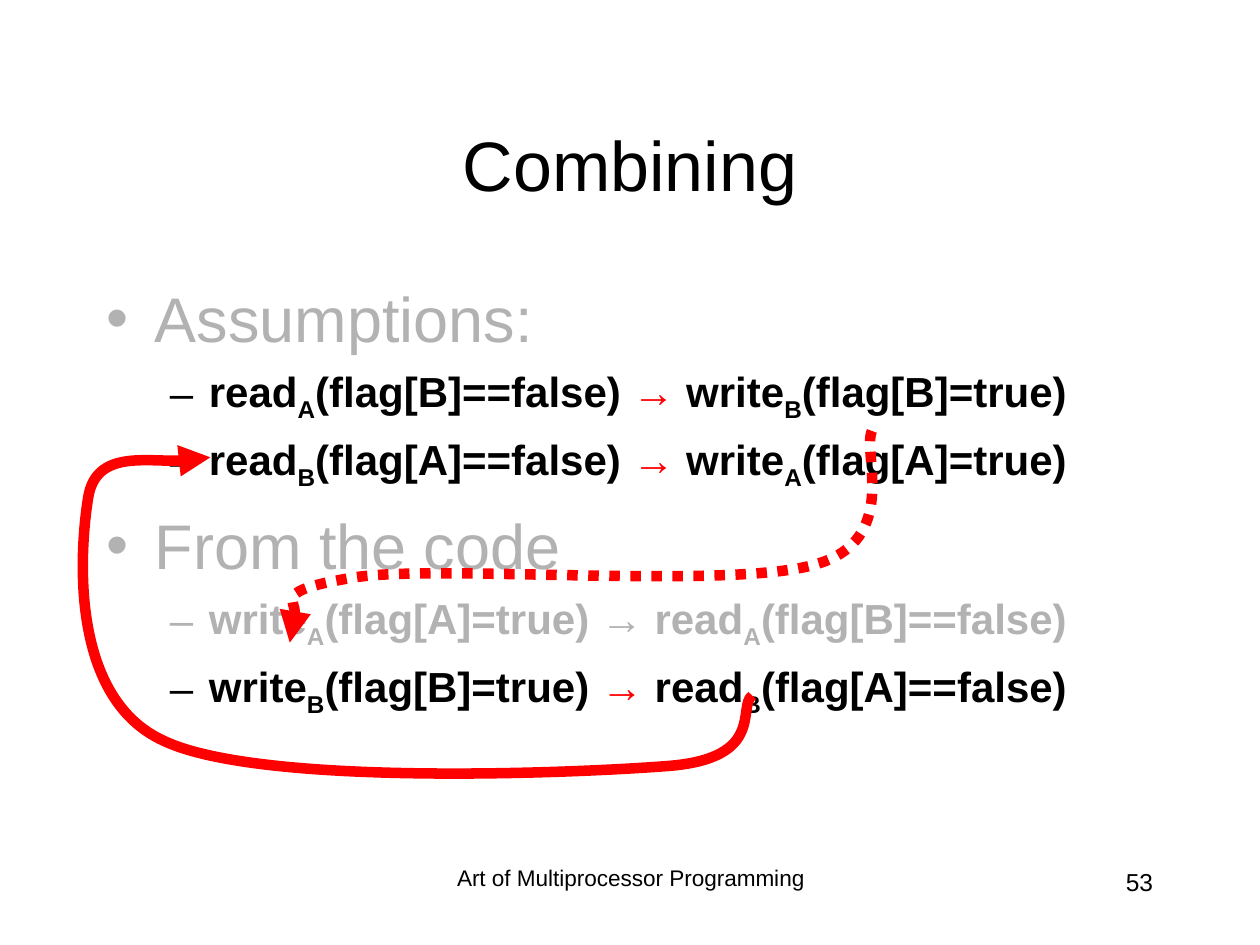
from lxml import etree
from pptx import Presentation
from pptx.dml.color import RGBColor
from pptx.enum.dml import MSO_LINE
from pptx.enum.text import MSO_ANCHOR, PP_ALIGN
from pptx.oxml.ns import qn
from pptx.util import Inches, Pt

CENTER, RIGHT = PP_ALIGN.CENTER, PP_ALIGN.RIGHT
TOP, MIDDLE = MSO_ANCHOR.TOP, MSO_ANCHOR.MIDDLE
SYS_DOT = MSO_LINE.ROUND_DOT  # written to the file as sysDot

FONT = "Arial"
COLORS = {"black": "000000", "faded": "B2B2B2", "red": "FF0000"}

# (level, text, color); "_" puts the next letter in subscript
OUTLINE = [
    (0, "Assumptions:", "faded"),
    (1, "read_A(flag[B]==false) → write_B(flag[B]=true)", "black"),
    (1, "read_B(flag[A]==false) → write_A(flag[A]=true)", "black"),
    (0, "From the code", "faded"),
    (1, "write_A(flag[A]=true) → read_A(flag[B]==false)", "faded"),
    (1, "write_B(flag[B]=true) → read_B(flag[A]==false)", "black"),
]
# Per level: bullet, left margin, hanging indent, text size, space before
LEVELS = [("•", 0.38, 0.38, 36, 9), ("–", 0.81, 0.31, 24, 6)]

# Start point, then three points for each Bezier segment
READ_TO_READ = [
    (5.97, 5.52),
    (5.85, 5.61), (6.08, 6.02), (5.3, 6.08),
    (4.52, 6.14), (2.06, 6.24), (1.3, 5.88),
    (0.53, 5.53), (0.64, 4.32), (0.7, 3.95),
    (0.76, 3.57), (1.47, 3.7), (1.67, 3.63),
]
WRITE_TO_WRITE = [
    (6.92, 3.42),
    (6.84, 3.59), (7.15, 4.29), (6.47, 4.48),
    (5.79, 4.68), (3.53, 4.48), (2.83, 4.58),
    (2.14, 4.69), (2.41, 4.99), (2.3, 5.1),
]


def format_run(run, size, color, bold=False):
    run.font.name = FONT
    run.font.size = Pt(size)
    run.font.bold = bold
    run.font.color.rgb = RGBColor.from_string(COLORS[color])


def add_frame(slide, left, top, width, height, anchor=TOP):
    box = slide.shapes.add_textbox(
        Inches(left), Inches(top), Inches(width), Inches(height))
    box.text_frame.word_wrap = True
    box.text_frame.vertical_anchor = anchor
    return box.text_frame


def add_label(slide, text, bounds, size, align, anchor=TOP):
    frame = add_frame(slide, *bounds, anchor)
    frame.text = text
    label = frame.paragraphs[0]
    label.alignment = align
    format_run(label.runs[0], size, "black")
    return label


def set_bullet(paragraph, bullet, margin, hanging, color):
    props = paragraph._p.get_or_add_pPr()
    props.set("marL", str(Inches(margin)))
    props.set("indent", str(-Inches(hanging)))
    bullet_color = etree.SubElement(props, qn("a:buClr"))
    etree.SubElement(bullet_color, qn("a:srgbClr"), val=COLORS[color])
    etree.SubElement(props, qn("a:buFont"), typeface=FONT)
    etree.SubElement(props, qn("a:buChar"), char=bullet)


def split_event(text):
    """Yield (piece, is_subscript), with each arrow as its own piece."""
    first, *rest = text.split("_")
    pieces = [(first, False)]
    for part in rest:
        pieces += [(part[0], True), (part[1:], False)]
    for piece, subscript in pieces:
        before, arrow, after = piece.partition("→")
        for words in (before, arrow, after):
            if words:
                yield words, subscript


def add_outline(slide):
    frame = add_frame(slide, 0.75, 2.17, 8.5, 4.5)
    for index, (level, text, color) in enumerate(OUTLINE):
        item = frame.add_paragraph() if index else frame.paragraphs[0]
        bullet, margin, hanging, size, space = LEVELS[level]
        item.level = level
        item.space_before = Pt(space)
        set_bullet(item, bullet, margin, hanging, color)
        for words, subscript in split_event(text):
            run = item.add_run()
            run.text = words
            is_live_arrow = words == "→" and color == "black"
            format_run(run, size, "red" if is_live_arrow else color, level == 1)
            if subscript:
                run.font._element.set("baseline", "-25000")


def add_curved_arrow(slide, points, dash=None):
    start, *others = [(Inches(x), Inches(y)) for x, y in points]
    builder = slide.shapes.build_freeform(*start)
    builder.add_line_segments(others, close=False)
    arrow = builder.convert_to_shape()

    # Turn every three straight steps into one Bezier segment
    outline = arrow._element.find(".//" + qn("a:path"))
    steps = outline.findall(qn("a:lnTo"))
    for i in range(0, len(steps), 3):
        curve = etree.SubElement(outline, qn("a:cubicBezTo"))
        for step in steps[i:i + 3]:
            curve.append(step[0])
            outline.remove(step)

    arrow.shadow.inherit = False
    arrow.fill.background()
    arrow.line.color.rgb = RGBColor.from_string(COLORS["red"])
    arrow.line.width = Pt(6)
    if dash is not None:
        arrow.line.dash_style = dash
    line = arrow.line._get_or_add_ln()
    etree.SubElement(line, qn("a:round"))
    etree.SubElement(line, qn("a:tailEnd"), type="triangle")


def main():
    deck = Presentation()
    deck.slide_width, deck.slide_height = Inches(10), Inches(7.5)
    slide = deck.slides.add_slide(deck.slide_layouts[6])

    # Footer and page number
    footer = add_label(slide, "Art of Multiprocessor Programming",
                       (3.42, 6.83, 3.17, 0.5), 12.9, CENTER)
    footer.line_spacing = 0.9
    add_label(slide, "53", (7.17, 6.83, 2.08, 0.5), 14, RIGHT)

    # Outline and title
    add_outline(slide)
    add_label(slide, "Combining", (0.75, 0.67, 8.5, 1.25), 40, CENTER, MIDDLE)

    # Order between the events
    add_curved_arrow(slide, READ_TO_READ)
    add_curved_arrow(slide, WRITE_TO_WRITE, SYS_DOT)

    deck.save("out.pptx")


if __name__ == "__main__":
    main()
